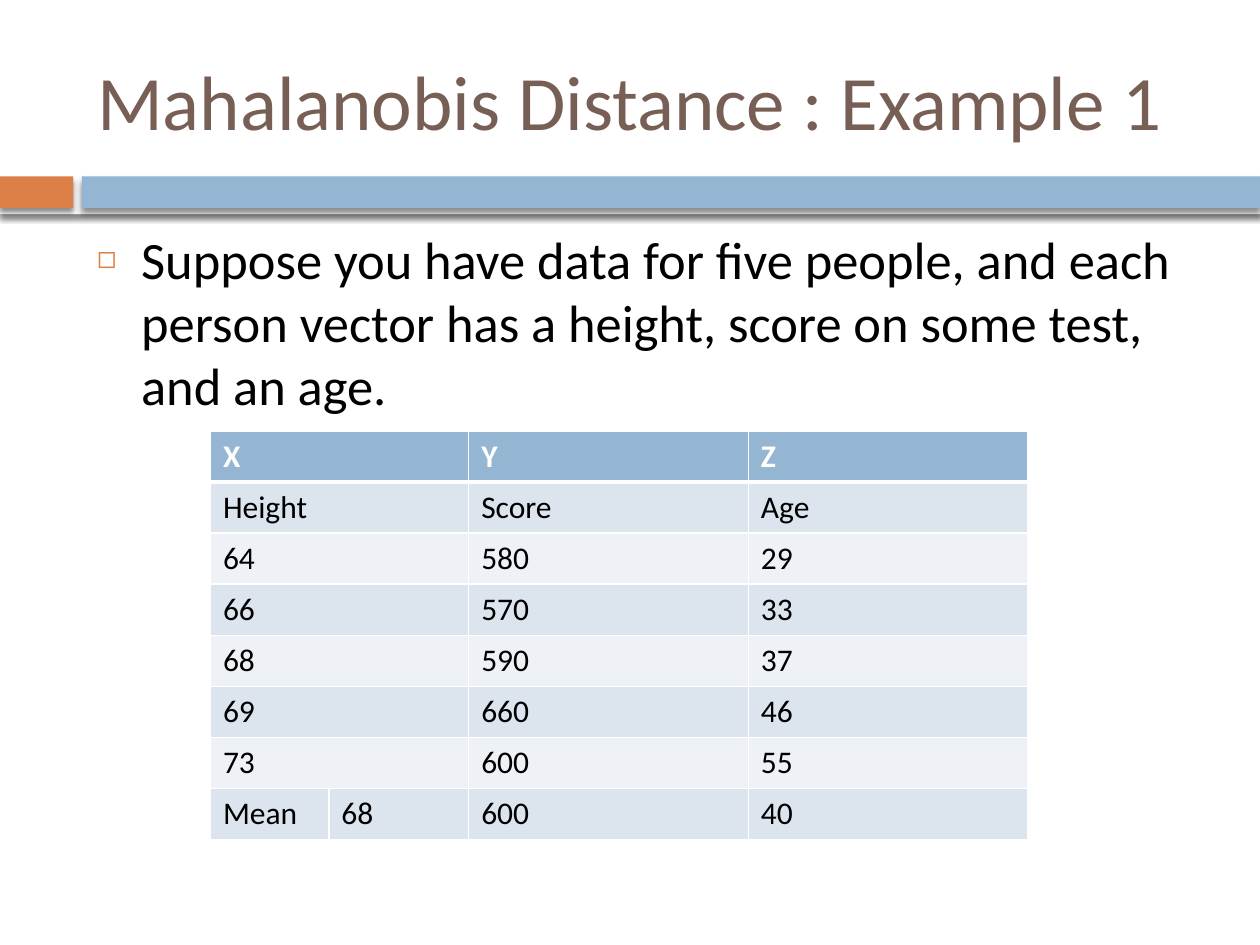
"""Build a slide with a heading, one bullet and a table of example data."""
from lxml.etree import SubElement
from pptx import Presentation
from pptx.dml.color import RGBColor
from pptx.enum.shapes import MSO_SHAPE
from pptx.enum.text import MSO_ANCHOR, MSO_AUTO_SIZE, PP_ALIGN
from pptx.oxml import parse_xml
from pptx.oxml.ns import nsdecls, qn
from pptx.util import Inches, Pt

THEME = {
    "font": "Calibri", "title": "775F55", "text": "000000", "white": "FFFFFF",
    "orange": "DD8047", "blue": "94B6D2", "bands": ("EEF2F6", "DCE5EE"),
    "title_size": 44, "body_size": 30, "cell_size": 18,
    "line": 0.96, "header_line": 3,
}
ROWS = [
    ("X", "Y", "Z"),
    ("Height", "Score", "Age"),
    ("64", "580", "29"),
    ("66", "570", "33"),
    ("68", "590", "37"),
    ("69", "660", "46"),
    ("73", "600", "55"),
    ("Mean", "68", "600", "40"),
]
COLS = (0.94, 1.11, 2.22, 2.22)


def write(tf, text, size, color, bold=False):
    p = tf.paragraphs[0]
    p.alignment = PP_ALIGN.LEFT
    r = p.add_run()
    r.text = text
    fmt = {"name": THEME["font"], "size": Pt(size), "bold": bold}
    for key, value in fmt.items():
        setattr(r.font, key, value)
    r.font.color.rgb = RGBColor.from_string(color)
    return p


def border(tcPr, index, side, width):
    tcPr.insert(index, parse_xml(
        f'<a:{side} {nsdecls("a")} w="{Pt(width)}"><a:solidFill>'
        f'<a:srgbClr val="{THEME["white"]}"/></a:solidFill></a:{side}>'))


prs = Presentation()
prs.slide_width, prs.slide_height = Inches(10), Inches(7.5)
s = prs.slides.add_slide(prs.slide_layouts[1])

bars = [
    (0, 1.35, 10, 0.35, THEME["white"]),
    (0, 1.4, 0.58, 0.25, THEME["orange"]),
    (0.65, 1.4, 9.35, 0.25, THEME["blue"]),
]
for *box, color in bars:
    sp = s.shapes.add_shape(MSO_SHAPE.RECTANGLE, *map(Inches, box))
    sp.fill.solid()
    sp.fill.fore_color.rgb = RGBColor.from_string(color)
    sp.line.fill.background()
    sp.shadow.inherit = False
    sp._element.spPr.find(qn("a:effectLst")).append(parse_xml(
        f'<a:outerShdw {nsdecls("a")} blurRad="{Pt(3)}" dist="{Pt(2.4)}" '
        'dir="5400000" rotWithShape="0"><a:srgbClr val="000000">'
        '<a:alpha val="45000"/></a:srgbClr></a:outerShdw>'))

title, body = s.shapes.title, s.placeholders[1]
places = [(title, 0.25, 1.08, MSO_ANCHOR.MIDDLE), (body, 1.75, 4.92, MSO_ANCHOR.TOP)]
for sp, top, height, anchor in places:
    sp.left, sp.top = Inches(0.67), Inches(top)
    sp.width, sp.height = Inches(8.92), Inches(height)
    fmt = {"word_wrap": True, "auto_size": MSO_AUTO_SIZE.NONE, "vertical_anchor": anchor}
    for key, value in fmt.items():
        setattr(sp.text_frame, key, value)

write(title.text_frame, "Mahalanobis Distance : Example 1",
      THEME["title_size"], THEME["title"])
p = write(body.text_frame,
          "Suppose you have data for five people, and each person vector has "
          "a height, score on some test, and an age.",
          THEME["body_size"], THEME["text"])
p.space_before = Pt(7)
pPr = p._p.get_or_add_pPr()
pPr.set("marL", str(Inches(0.35)))
pPr.set("indent", str(Inches(-0.35)))
SubElement(SubElement(pPr, qn("a:buClr")), qn("a:srgbClr"), val=THEME["orange"])
SubElement(pPr, qn("a:buSzPct"), val="60000")
SubElement(pPr, qn("a:buChar"), char="◻")

table = s.shapes.add_table(len(ROWS), len(COLS), Inches(1.67), Inches(3.42),
                           Inches(sum(COLS)), Inches(3.24)).table
for col, width in zip(table.columns, COLS):
    col.width = Inches(width)
for i, row in enumerate(ROWS):
    if len(row) < len(COLS):
        table.cell(i, 0).merge(table.cell(i, 1))
        row = (row[0], "", *row[1:])
    fill = THEME["bands"][i % 2] if i else THEME["blue"]
    color = THEME["text"] if i else THEME["white"]
    widths = {"lnL": THEME["line"], "lnR": THEME["line"],
              "lnT": THEME["header_line" if i == 1 else "line"],
              "lnB": THEME["header_line" if i == 0 else "line"]}
    for j, text in enumerate(row):
        cell = table.cell(i, j)
        cell.fill.solid()
        cell.fill.fore_color.rgb = RGBColor.from_string(fill)
        for k, (side, width) in enumerate(widths.items()):
            border(cell._tc.get_or_add_tcPr(), k, side, width)
        if text:
            write(cell.text_frame, text, THEME["cell_size"], color, bold=i == 0)

prs.save("out.pptx")
